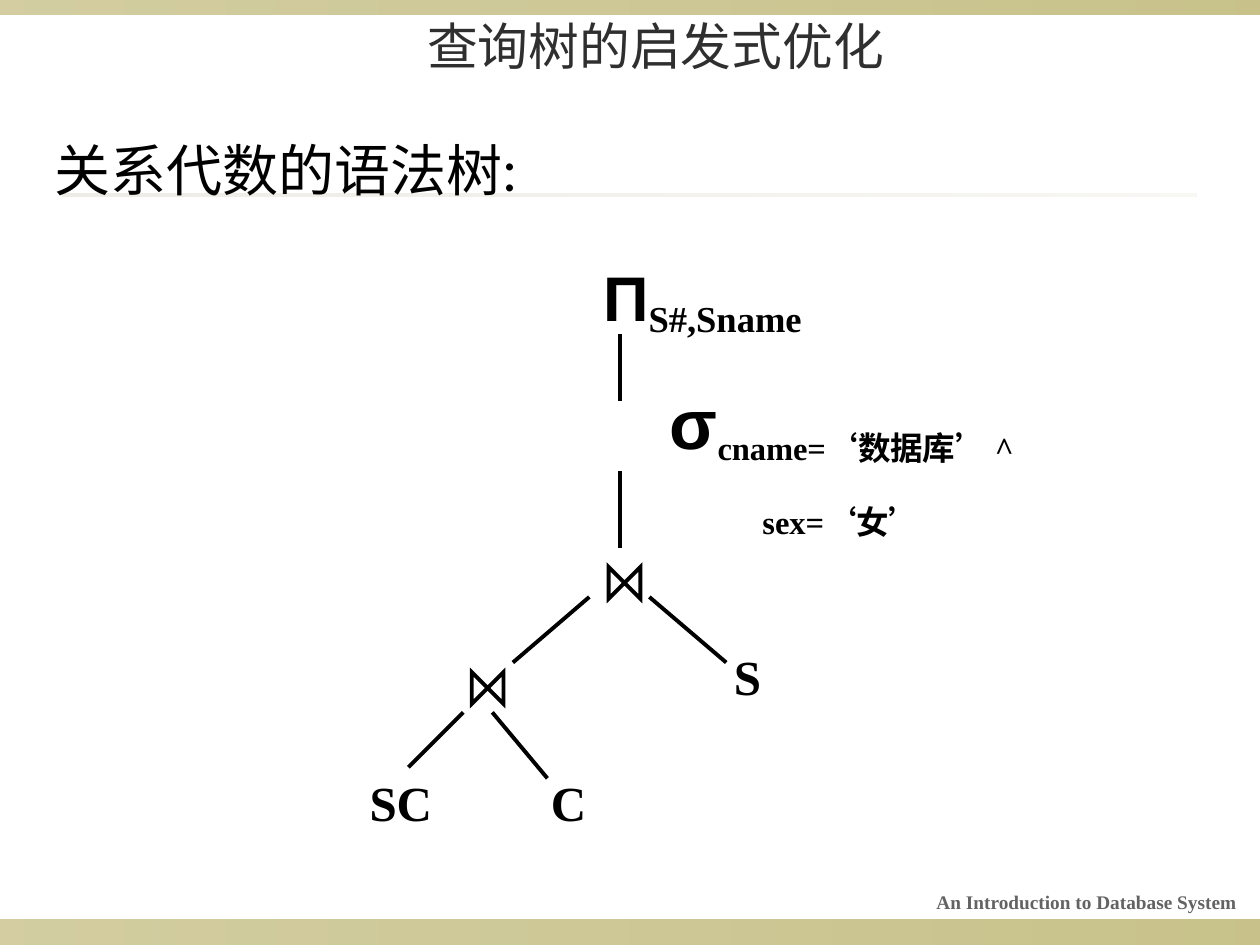
from dataclasses import dataclass, field

from lxml.etree import SubElement
from pptx import Presentation
from pptx.dml.color import RGBColor
from pptx.enum.shapes import MSO_CONNECTOR, MSO_SHAPE
from pptx.enum.text import MSO_ANCHOR, MSO_AUTO_SIZE, PP_ALIGN
from pptx.oxml.ns import qn
from pptx.util import Cm, Pt

COLOURS = {
    "ink": "000000",
    "title": "2F2F2F",
    "footer": "636363",
    "band": "918415",
    "rule": "DCD9CC",
}


@dataclass
class TreeSlide:
    """Draws the parts of a query tree on one slide in one style."""

    slide: object
    sans: str = "Lato"
    serif: str = "Times New Roman"
    symbol: str = "Arial"
    stroke: float = 2.25
    colours: dict = field(default_factory=lambda: COLOURS)

    def colour(self, name):
        return RGBColor.from_string(self.colours[name])

    def band(self, left, top, width, height, name, opacities):
        shape = self.slide.shapes.add_shape(
            MSO_SHAPE.RECTANGLE, Cm(left), Cm(top), Cm(width), Cm(height))
        shape.shadow.inherit = False
        shape.line.fill.background()
        shape.fill.gradient()
        shape.fill.gradient_angle = 0
        for stop in shape.fill.gradient_stops:
            stop.color.rgb = self.colour(name)
        stops = shape._element.spPr.iter(qn("a:srgbClr"))
        for element, opacity in zip(stops, opacities):
            SubElement(element, qn("a:alpha")).set("val", str(opacity * 1000))

    def style(self, span, size, font, name="ink", bold=False, baseline=0):
        span.font.size = Pt(size)
        span.font.name = font
        span.font.bold = bold
        span.font.color.rgb = self.colour(name)
        if baseline:
            span._r.get_or_add_rPr().set("baseline", str(baseline * 1000))

    def text(self, left, top, width, height, words, size, font, name="ink",
             bold=False, align=PP_ALIGN.LEFT, anchor=MSO_ANCHOR.TOP):
        box = self.slide.shapes.add_textbox(
            Cm(left), Cm(top), Cm(width), Cm(height))
        frame = box.text_frame
        frame.word_wrap = True
        frame.vertical_anchor = anchor
        frame.text = words
        para = frame.paragraphs[0]
        para.alignment = align
        self.style(para.runs[0], size, font, name, bold)
        return box

    def node(self, left, top, width, height, words, size, font, space):
        frame = self.text(left, top, width, height, words, size, font,
                          bold=True, align=PP_ALIGN.CENTER).text_frame
        frame.word_wrap = False
        frame.auto_size = MSO_AUTO_SIZE.SHAPE_TO_FIT_TEXT
        para = frame.paragraphs[0]
        para.space_before = Pt(space)
        return para

    def subscript(self, para, lines, size, baseline):
        for index, words in enumerate(lines):
            if index:
                para.add_line_break()
            span = para.add_run()
            span.text = words
            self.style(span, size, self.serif, bold=True, baseline=baseline)

    def outline(self, line):
        line.color.rgb = self.colour("ink")
        line.width = Pt(self.stroke)

    def join(self, left, top, side=0.64):
        shape = self.slide.shapes.add_shape(
            MSO_SHAPE.FLOWCHART_COLLATE, Cm(left), Cm(top), Cm(side), Cm(side))
        shape.rotation = 90
        shape.shadow.inherit = False
        shape.fill.background()
        self.outline(shape.line)
        SubElement(shape._element.spPr.find(qn("a:ln")), qn("a:miter")).set("lim", "800000")

    def branch(self, *ends):
        branch = self.slide.shapes.add_connector(
            MSO_CONNECTOR.STRAIGHT, *(Cm(value) for value in ends))
        self.outline(branch.line)
        properties = branch._element.spPr
        properties.find(qn("a:ln")).set("cap", "sq")
        SubElement(properties, qn("a:effectLst"))


def main():
    deck = Presentation()
    deck.slide_width, deck.slide_height = Cm(25.4), Cm(19.05)
    page = TreeSlide(deck.slides.add_slide(deck.slide_layouts[6]))

    page.band(0, 18.54, 25.4, 0.51, "band", (40, 50))
    page.band(0, 0, 25.4, 0.3, "band", (40, 50))
    page.band(1.27, 3.91, 22.86, 0.05, "rule", (50, 20))

    page.text(2.72, 0.18, 21, 1.47, "查询树的启发式优化", 29, page.sans,
              "title", align=PP_ALIGN.CENTER, anchor=MSO_ANCHOR.MIDDLE)
    heading = page.text(0.84, 2.34, 16.71, 2.11, "关系代数的语法树:", 32,
                        page.sans).text_frame.paragraphs[0]
    heading.line_spacing = 1.2
    heading.space_before = Pt(8)
    page.text(14.82, 17.78, 10.36, 0.79, "An Introduction to Database System",
              11, page.serif, "footer", True, PP_ALIGN.RIGHT, MSO_ANCHOR.MIDDLE)

    for left, top in ((9.51, 13.55), (12.27, 11.43)):
        page.join(left, top)
    for words, left, top, width in (("SC", 7.08, 15.44, 2),
                                    ("C", 10.81, 15.44, 1.3),
                                    ("S", 14.47, 12.9, 1.2)):
        page.node(left, top, width, 1.45, words, 28, page.serif, 17.5)

    selection = page.node(11.66, 7.52, 10.62, 2.03, "σ", 40, page.symbol, 20)
    page.subscript(selection, ("cname=‘数据库’ ^", "sex=‘女’"), 32, -20)
    projection = page.node(11.86, 5.08, 4.6, 1.91, "Π", 36, page.symbol, 22.5)
    page.subscript(projection, ("S#,Sname",), 36, -18)

    for ends in ((8.26, 15.44, 9.31, 14.39), (9.95, 14.39, 11.01, 15.66),
                 (10.37, 13.33, 11.85, 12.06), (13.12, 12.06, 14.61, 13.33),
                 (12.49, 9.53, 12.49, 11.01), (12.49, 6.77, 12.49, 8.04)):
        page.branch(*ends)

    deck.save("out.pptx")


if __name__ == "__main__":
    main()
